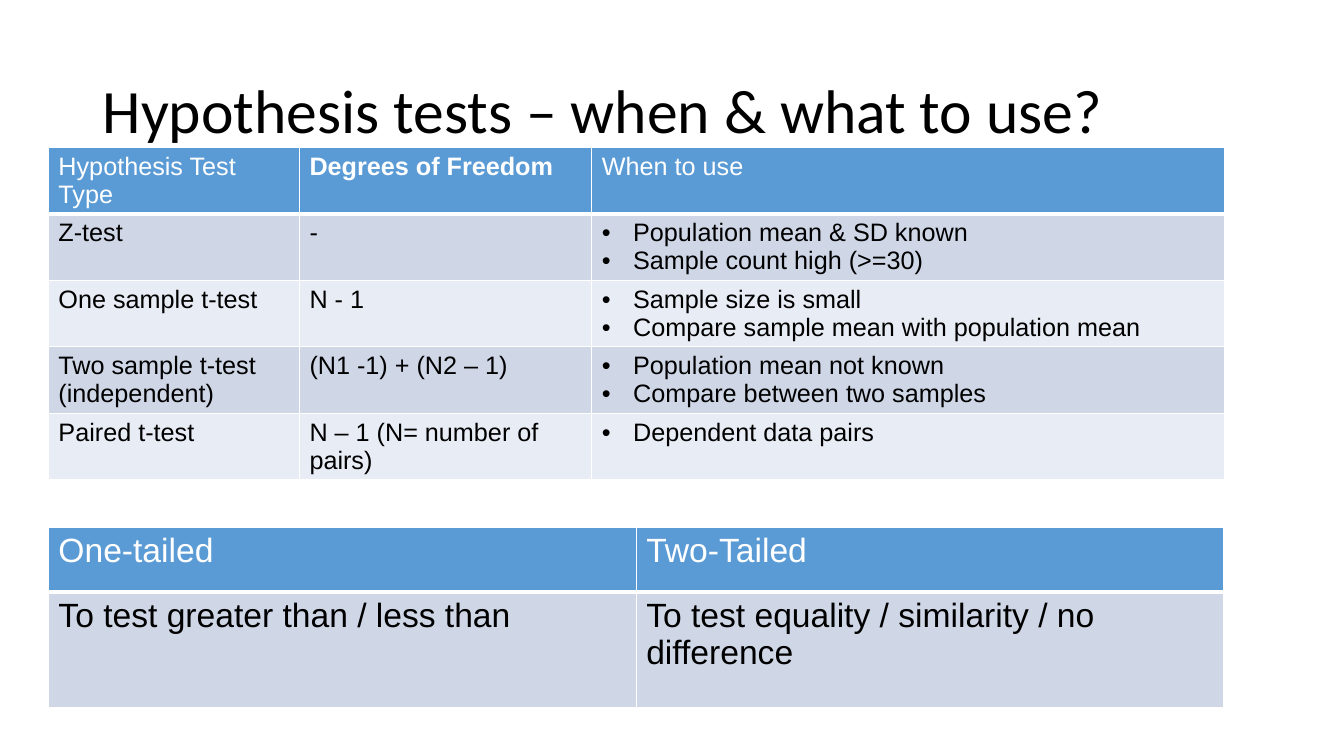
from dataclasses import dataclass

from lxml import etree
from pptx import Presentation
from pptx import util as u
from pptx.dml import color
from pptx.enum import text
from pptx.oxml import ns


@dataclass(frozen=True)
class Theme:
    header: str = "5B9BD5"
    bands: tuple = ("CFD7E7", "E8ECF4")
    white: str = "FFFFFF"
    black: str = "000000"
    body_font: str = "Arial"
    title_font: str = "Calibri"
    title_size: int = 44
    tests_size: int = 18
    tails_size: int = 24
    thin: int = 1
    thick: int = 3


THEME = Theme()

TESTS = [
    ["Hypothesis Test Type", "Degrees of Freedom", "When to use"],
    ["Z-test", "-", ["Population mean & SD known", "Sample count high (>=30)"]],
    ["One sample t-test", "N - 1",
     ["Sample size is small", "Compare sample mean with population mean"]],
    ["Two sample t-test (independent)", "(N1 -1) + (N2 – 1)",
     ["Population mean not known", "Compare between two samples"]],
    ["Paired t-test", "N – 1 (N= number of pairs)", ["Dependent data pairs"]],
]

TAILS = [
    ["One-tailed", "Two-Tailed"],
    ["To test greater than / less than",
     "To test equality / similarity / no difference"],
]


def write_run(paragraph, content, rgb, **formats):
    run = paragraph.add_run()
    run.text = content
    for name, value in formats.items():
        setattr(run.font, name, value)
    run.font.color.rgb = color.RGBColor.from_string(rgb)


def add_bullet(paragraph):
    properties = paragraph._p.get_or_add_pPr()
    indent = u.Inches(0.31)
    properties.set("marL", str(indent))
    properties.set("indent", str(-indent))
    bullet_font = etree.SubElement(properties, ns.qn("a:buFont"))
    bullet_font.set("typeface", THEME.body_font)
    etree.SubElement(properties, ns.qn("a:buChar")).set("char", "•")


def add_borders(cell, widths):
    properties = cell._tc.get_or_add_tcPr()
    for side, width in widths.items():
        line = etree.SubElement(properties, ns.qn(f"a:ln{side}"))
        line.set("w", str(u.Pt(width)))
        fill = etree.SubElement(line, ns.qn("a:solidFill"))
        etree.SubElement(fill, ns.qn("a:srgbClr")).set("val", THEME.white)


def fill_cell(cell, content, row, size, bold):
    widths = dict.fromkeys("LRTB", THEME.thin)
    if row == 0:
        widths["B"] = THEME.thick
    elif row == 1:
        widths["T"] = THEME.thick
    add_borders(cell, widths)
    background = THEME.bands[(row - 1) % 2] if row else THEME.header
    cell.fill.solid()
    cell.fill.fore_color.rgb = color.RGBColor.from_string(background)
    bulleted = isinstance(content, list)
    frame = cell.text_frame
    for index, item in enumerate(content if bulleted else [content]):
        paragraph = frame.add_paragraph() if index else frame.paragraphs[0]
        if bulleted:
            add_bullet(paragraph)
        write_run(paragraph, item, THEME.black if row else THEME.white,
                  name=THEME.body_font, size=u.Pt(size), bold=bold)


def add_table(slide, top, height, columns, rows, data, size, bold_header=None):
    shape = slide.shapes.add_table(len(rows), len(columns), u.Inches(0.48),
                                   u.Inches(top), u.Inches(sum(columns)),
                                   u.Inches(height))
    table = shape.table
    for column, width in zip(table.columns, columns):
        column.width = u.Inches(width)
    for row, row_height in zip(table.rows, rows):
        row.height = u.Inches(row_height)
    shape.height = u.Inches(height)
    for row, contents in enumerate(data):
        for column, content in enumerate(contents):
            bold = row == 0 and content == bold_header
            fill_cell(table.cell(row, column), content, row, size, bold)


def add_title(slide, content):
    shape = slide.shapes.add_textbox(u.Inches(0.92), u.Inches(0.4),
                                     u.Inches(11.5), u.Inches(1.45))
    formats = {"word_wrap": True, "vertical_anchor": text.MSO_ANCHOR.MIDDLE}
    for name, value in formats.items():
        setattr(shape.text_frame, name, value)
    paragraph = shape.text_frame.paragraphs[0]
    paragraph.line_spacing = 0.9
    write_run(paragraph, content, THEME.black, name=THEME.title_font,
              size=u.Pt(THEME.title_size))


def main():
    presentation = Presentation()
    presentation.slide_width = u.Inches(13.33)
    presentation.slide_height = u.Inches(7.5)
    slide = presentation.slides.add_slide(presentation.slide_layouts[6])
    add_table(slide, 1.46, 3.5, [2.49, 2.9, 6.28], [0.49] * len(TESTS),
              TESTS, THEME.tests_size, bold_header="Degrees of Freedom")
    add_table(slide, 5.23, 1.8, [5.83] * 2, [0.64, 1.15],
              TAILS, THEME.tails_size)
    add_title(slide, "Hypothesis tests – when & what to use?")
    presentation.save("out.pptx")


if __name__ == "__main__":
    main()
